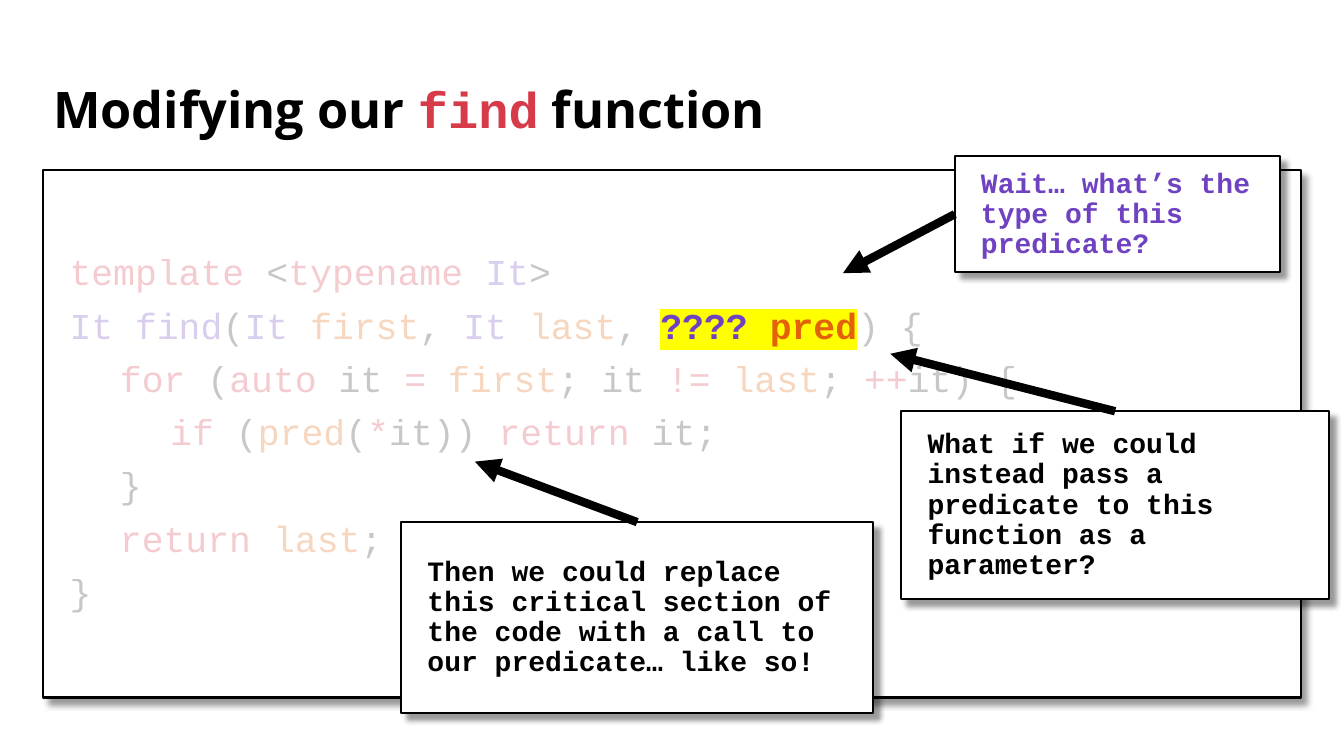
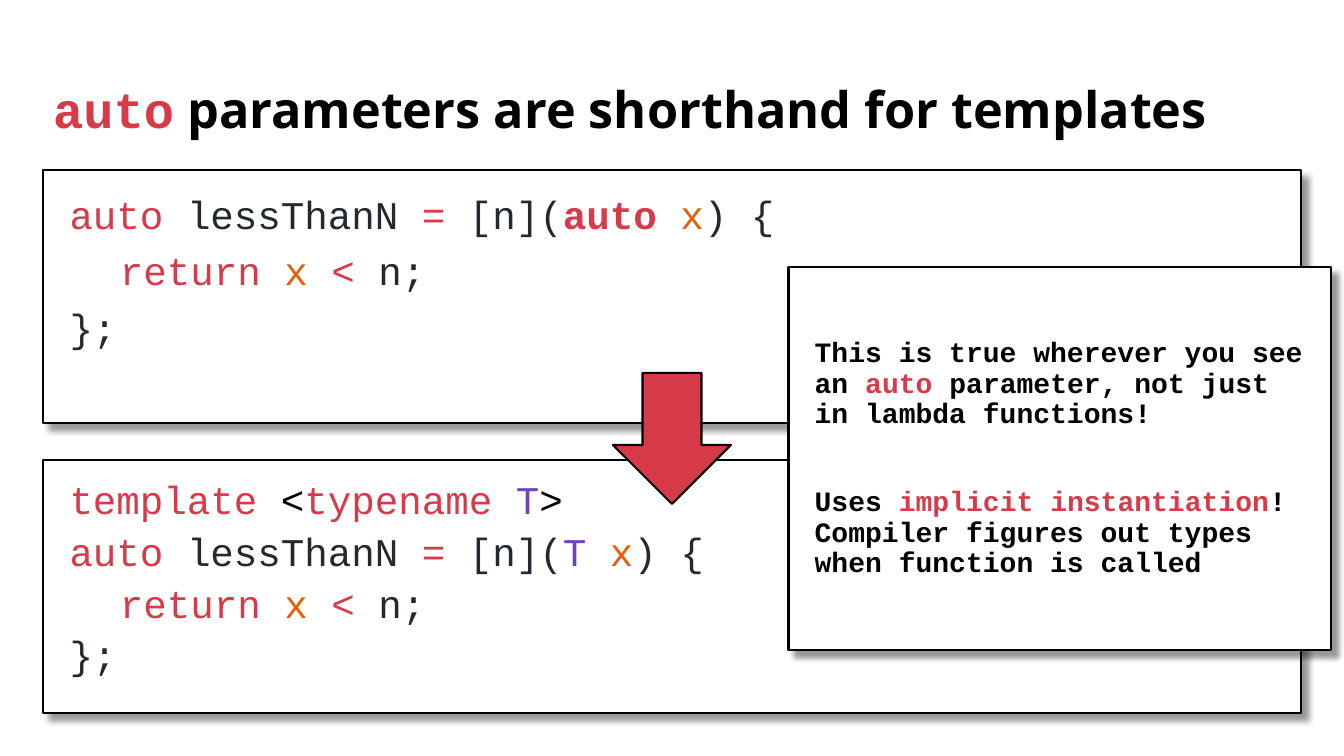
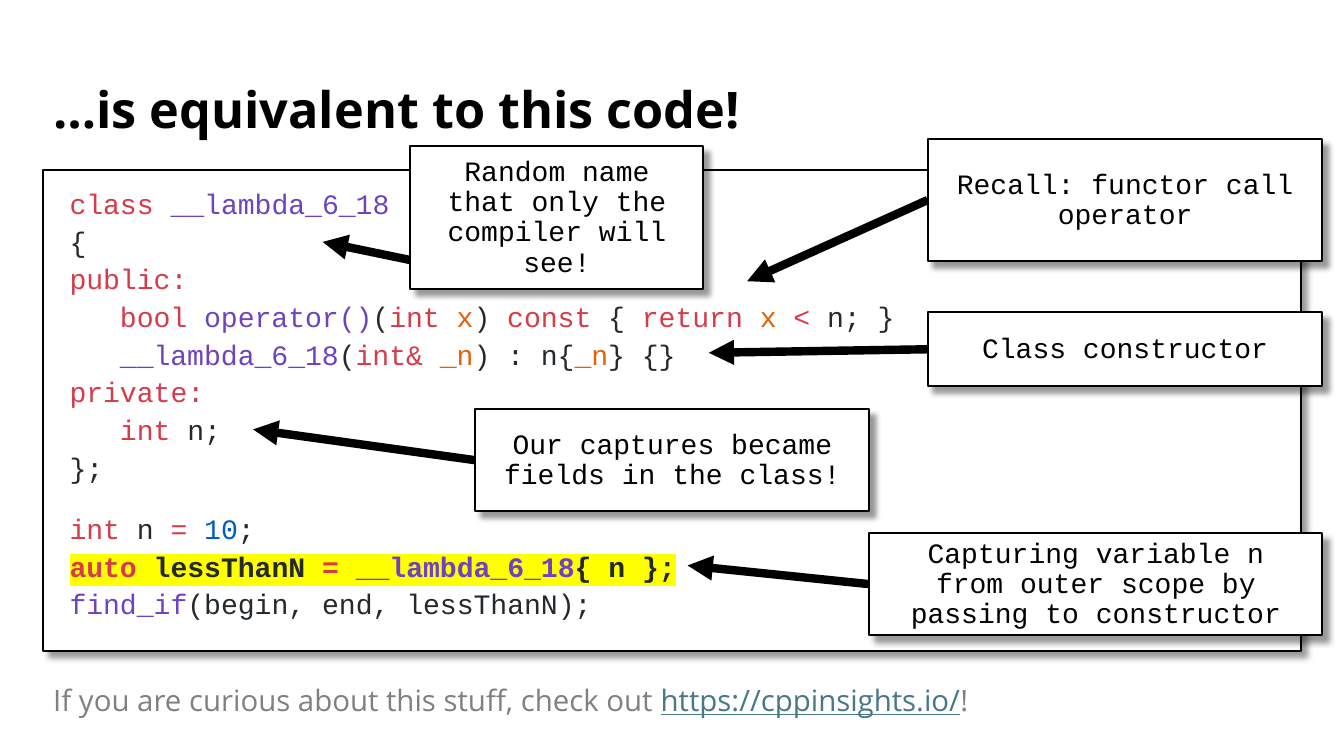
from lxml import etree
from pptx import Presentation
from pptx import util as u
from pptx.dml.color import RGBColor
from pptx.enum import shapes, text
from pptx.oxml.ns import qn

MONO, SANS = "Courier New", "Open Sans"
BLACK, WHITE, ACCENT, YELLOW = "000000", "FFFFFF", "D73A48", "FFFF00"
LEFT, WIDTH, CODE_TOP = 0.43, 12.47, 1.69

# Letter that opens a span in the markup: colour and font
STYLES = {
    "k": ("D73A49", MONO),  # keyword
    "c": ("24292E", MONO),  # plain code
    "t": ("6F42C1", MONO),  # type or function name
    "p": ("E36209", MONO),  # parameter
    "n": ("005CC5", MONO),  # number
    "b": (BLACK, MONO),     # note
    "a": (ACCENT, MONO),    # accent
    "h": (BLACK, SANS),     # heading
    "g": ("808080", SANS),  # footnote
    "u": ("467886", SANS),  # address, underlined
}


def rgb(value):
    return RGBColor.from_string(value)


def add_child(parent, tag, **attributes):
    child = etree.SubElement(parent, qn(tag))
    for name, value in attributes.items():
        child.set(name, str(value))
    return child


def inches(*lengths):
    return [u.Inches(length) for length in lengths]


def write_spans(para, markup, size, bold=False, faded=False):
    """Write spans such as 'k:auto|c: it'; a capital is bold, a star highlights."""
    for part in markup.split("|"):
        mark, _, words = part.partition(":")
        letter = mark[0].lower()
        colour, font = STYLES[letter]
        marked = mark.endswith("*")
        span = para.add_run()
        span.text = words
        span.font.size = u.Pt(size)
        span.font.name = font
        span.font.bold = bold or mark[0].isupper()
        span.font.underline = letter == "u"
        span.font.color.rgb = rgb(colour)
        fill = span._r.get_or_add_rPr().find(qn("a:solidFill"))
        if marked:
            highlight = etree.Element(qn("a:highlight"))
            add_child(highlight, "a:srgbClr", val=YELLOW)
            fill.addnext(highlight)
        elif faded:
            add_child(fill[0], "a:alpha", val=25000)


def write_lines(shape, lines, size, spacing=0.9, gaps=None, tabs=False,
                align=text.PP_ALIGN.LEFT, **look):
    """Write one paragraph a line; gaps gives the space before chosen lines."""
    frame = shape.text_frame
    frame.word_wrap = True
    for index, line in enumerate(lines):
        para = frame.add_paragraph() if index else frame.paragraphs[0]
        if tabs:
            stops = add_child(para._p.get_or_add_pPr(), "a:tabLst")
            for stop in inches(0.5, 1):
                add_child(stops, "a:tab", pos=int(stop), algn="l")
        para.alignment = align
        para.line_spacing = spacing
        para.space_before = u.Pt((gaps or {}).get(index, 10) if index else 0)
        write_spans(para, line, size, **look)


def add_outlined(page, kind, box, fill):
    shape = page.shapes.add_shape(kind, *inches(*box))
    shape.shadow.inherit = False
    shape.fill.solid()
    shape.fill.fore_color.rgb = rgb(fill)
    shape.line.color.rgb = rgb(BLACK)
    shape.line.width = u.Pt(1.5)
    return shape


def add_card(page, box, anchor=text.MSO_ANCHOR.MIDDLE):
    """White box with a hard black edge and a soft shadow."""
    card = add_outlined(page, shapes.MSO_SHAPE.RECTANGLE, box, WHITE)
    effects = card._element.spPr.find(qn("a:effectLst"))
    shadow = add_child(effects, "a:outerShdw", blurRad=int(u.Pt(4)), dist=int(u.Pt(6)),
                       dir=45 * 60000, algn="tl", rotWithShape=0)
    add_child(add_child(shadow, "a:srgbClr", val=BLACK), "a:alpha", val=40000)
    frame = card.text_frame
    frame.margin_left = u.Inches(0.26)
    frame.margin_right = frame.margin_top = frame.margin_bottom = u.Inches(0.25)
    frame.vertical_anchor = anchor
    return card


def add_code(page, top, height, lines, size, anchor=text.MSO_ANCHOR.TOP, **look):
    card = add_card(page, (LEFT, top, WIDTH, height), anchor)
    write_lines(card, lines, size, tabs=True, **look)


def add_note(page, box, lines, tip=None, side=1, start=None, **look):
    """Card with an arrow to tip, from the middle of a side or from start."""
    card = add_card(page, box)
    write_lines(card, lines, 20, **look)
    if tip is None:
        return
    arrow = page.shapes.add_connector(
        shapes.MSO_CONNECTOR.STRAIGHT, *inches(*(start or box[:2]), *tip))
    if start is None:
        arrow.begin_connect(card, side)
    arrow.line.color.rgb = rgb(BLACK)
    arrow.line.width = u.Pt(6)
    add_child(arrow.line._get_or_add_ln(), "a:tailEnd", type="triangle")
    add_child(arrow._element.spPr, "a:effectLst")


def add_page(deck, title):
    page = deck.slides.add_slide(deck.slide_layouts[6])
    box = page.shapes.add_textbox(*inches(LEFT, 0.69, WIDTH, 0.84))
    box.text_frame.vertical_anchor = text.MSO_ANCHOR.MIDDLE
    write_lines(box, [title], 36, bold=True)
    return page


def build_find_page(deck):
    page = add_page(deck, "h:Modifying our |a:find|h: function")
    add_code(page, CODE_TOP, 5.23, [
        "k:template|c: <|k:typename |t:It|c:>",
        "t:It find|c:(|t:It |p:first|c:, |t:It |p:last|c:, |T*:????|C*: |P*:pred|c:) {",
        "k:\tfor|c: (|k:auto|c: it |k:= |p:first|c:; it |k:!= |p:last|c:; |k:++|c:it) {",
        "k:\t\tif|c: (|p:pred|c:(|k:*|c:it)) |k:return |c:it;",
        "c:\t}",
        "k:\treturn |p:last|c:;",
        "c:}",
    ], 26, text.MSO_ANCHOR.MIDDLE, faded=True)
    add_note(page, (9.47, 1.55, 3.23, 1.15),
             ["t:Wait… what’s the type of this predicate?"], (8.36, 2.71), bold=True)
    add_note(page, (8.94, 4.08, 4.24, 1.86),
             ["b:What if we could instead pass a predicate to this function as a parameter?"],
             (8.83, 3.51), side=0, bold=True)
    add_note(page, (3.98, 5.18, 4.68, 1.89),
             ["b:Then we could replace this critical section of the code "
              "with a call to our predicate… like so!"],
             (4.71, 4.58), side=0, bold=True)


def build_auto_page(deck):
    page = add_page(deck, "a:auto|h: parameters are shorthand for templates")
    opening = "k:auto |c:lessThanN |k:=|c: [n]("
    body = ["k:\treturn |p:x |k:<|c: n;", "c:};"]
    add_code(page, CODE_TOP, 2.51, [opening + "|K:auto |p:x|c:) {", *body], 28)
    add_code(page, 4.56, 2.51, [
        "k:template |b:<|k:typename |t:T|b:>",
        opening + "|t:T |p:x|c:) {",
        *body,
    ], 28, spacing=0.8)
    add_outlined(page, shapes.MSO_SHAPE.DOWN_ARROW, (6.08, 3.7, 1.17, 1.3), ACCENT)
    add_note(page, (7.82, 2.65, 5.38, 3.8), [
        "b:This is true wherever you see an |a:auto|b: parameter, "
        "not just in lambda functions!",
        "b:Uses |a:implicit instantiation|b:! Compiler figures out types "
        "when function is called",
    ], gaps={1: 41.6}, bold=True)


def build_class_page(deck):
    page = add_page(deck, "h:…is equivalent to this code!")
    add_code(page, CODE_TOP, 4.77, [
        "k:class |t:__lambda_6_18",
        "c:{",
        "k:public:",
        "k:\tbool |t:operator()|c:(|k:int |p:x|c:) |k:const|c: { |k:return |p:x |k:<|c: n; }",
        "t:\t__lambda_6_18|c:(|k:int& |p:_n|c:) : n{|p:_n|c:} {}",
        "k:private:",
        "k:\tint|c: n;",
        "c:};",
        "k:int|c: n |k:= |n:10|c:;",
        "K*:auto|C*: lessThanN |K*:=|C*: |T*:__lambda_6_18|C*:{ n };",
        "t:find_if|c:(begin, end, lessThanN);",
    ], 20.1, spacing=0.7, gaps={8: 27})
    notes = [
        ((9.2, 1.38, 3.91, 1.21), "Recall: functor call operator", (7.41, 2.79), None),
        ((9.2, 3.1, 3.91, 0.73), "Class constructor", (7.03, 3.5), None),
        ((4.71, 4.06, 3.91, 1.01), "Our captures became fields in the class!",
         (2.51, 4.26), None),
        ((4.07, 1.45, 2.9, 1.42), "Random name that only the compiler will see!",
         (3.2, 2.4), (4.07, 2.58)),
        ((8.62, 5.29, 4.49, 1.01),
         "Capturing variable n from outer scope by passing to constructor",
         (6.82, 5.61), None),
    ]
    for box, words, tip, start in notes:
        add_note(page, box, ["b:" + words], tip, start=start, align=text.PP_ALIGN.CENTER)
    footnote = page.shapes.add_textbox(*inches(LEFT, 6.76, WIDTH, 0.47))
    write_lines(footnote, ["g:If you are curious about this stuff, check out "
                           "|u:https://cppinsights.io/|g:!"], 21)


def main():
    deck = Presentation()
    deck.slide_width, deck.slide_height = inches(13.33, 7.5)
    build_find_page(deck)
    build_auto_page(deck)
    build_class_page(deck)
    deck.save("out.pptx")


if __name__ == "__main__":
    main()
